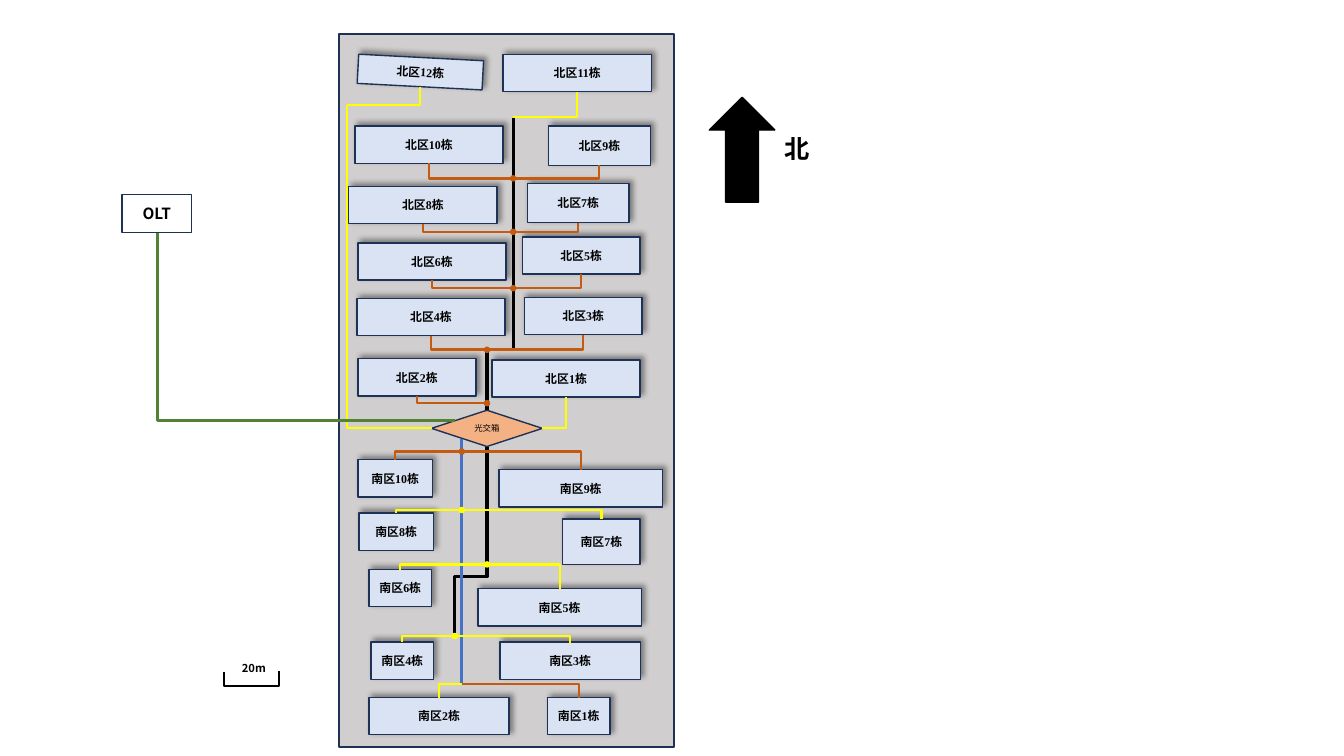
from lxml.etree import SubElement
from pptx import Presentation
from pptx.dml.color import RGBColor
from pptx.enum.shapes import MSO_CONNECTOR, MSO_SHAPE
from pptx.enum.text import MSO_ANCHOR, MSO_AUTO_SIZE, PP_ALIGN
from pptx.oxml.ns import qn
from pptx.util import Inches, Pt


class Theme:
    site, building, cabinet = "D0CECE", "DAE3F3", "F4B183"
    outline, black = "1E3256", "000000"
    yellow, orange, blue, green = "FFFF00", "C55A11", "4472C4", "548235"
    thin, medium, thick = 1, 1.5, 2.25
    building_size, cabinet_size, olt_size, north_size, scale_size = 8.5, 6, 11, 18, 8
    chinese, latin = "Noto Sans CJK SC", "Times New Roman"


presentation = Presentation()
presentation.slide_width, presentation.slide_height = Inches(13.33), Inches(7.5)
slide = presentation.slides.add_slide(presentation.slide_layouts[6])


def add_block(kind, box, fill=None, outline=Theme.outline, width=Theme.thin,
              runs=(), size=Theme.building_size, bold=True):
    """Draw a preset shape, or a text box when kind is None; runs are (text, font)."""
    place = [Inches(value) for value in box]
    if kind is None:
        shape = slide.shapes.add_textbox(*place)
        shape.text_frame.auto_size = MSO_AUTO_SIZE.SHAPE_TO_FIT_TEXT
    else:
        shape = slide.shapes.add_shape(kind, *place)
        shape.shadow.inherit = False
        shape.line.color.rgb = RGBColor.from_string(outline)
        shape.line.width = Pt(width)
        if fill:
            shape.fill.solid()
            shape.fill.fore_color.rgb = RGBColor.from_string(fill)
        else:
            shape.fill.background()
        shape.text_frame.vertical_anchor = MSO_ANCHOR.MIDDLE
    shape.text_frame.word_wrap = kind is not None
    paragraph = shape.text_frame.paragraphs[0]
    paragraph.alignment = PP_ALIGN.LEFT if kind is None else PP_ALIGN.CENTER
    for text, font_name in runs:
        run = paragraph.add_run()
        run.text = text
        run.font.size, run.font.bold = Pt(size), bold
        run.font.color.rgb = RGBColor.from_string(Theme.black)
        run.font.name = font_name
        SubElement(run.font._element, qn("a:ea"), typeface=font_name)
    return shape


def add_cable(start, end, color, width=Theme.medium, corner=False, level=None):
    """Straight line; corner runs across then up or down; level is the height of a crossbar."""
    (x1, y1), (x2, y2) = start, end
    kind = MSO_CONNECTOR.ELBOW if corner or level is not None else MSO_CONNECTOR.STRAIGHT
    if level is not None:
        # A crossbar is a sideways elbow turned by a quarter about its centre
        across, down = x2 - x1, (y2 - y1) or 0.01
        turn = 1 if across * down < 0 else -1
        center_x, center_y = (x1 + x2) / 2, y1 + down / 2
        half_x, half_y = turn * down / 2, -turn * across / 2
        ends = (center_x - half_x, center_y - half_y, center_x + half_x, center_y + half_y)
    else:
        ends = (x1, y1, x2, y2)
    connector = slide.shapes.add_connector(kind, *[Inches(value) for value in ends])
    connector.line.color.rgb = RGBColor.from_string(color)
    connector.line.width = Pt(width)
    properties = connector._element.spPr
    SubElement(properties, qn("a:effectLst"))
    geometry = properties.find(qn("a:prstGeom"))
    if corner:
        geometry.set("prst", "bentConnector2")
    if level is not None:
        properties.find(qn("a:xfrm")).set("rot", "5400000" if turn == 1 else "16200000")
        guides = geometry.find(qn("a:avLst"))
        ratio = round((level - y1) / down * 100000)
        SubElement(guides, qn("a:gd"), name="adj1", fmla=f"val {ratio}")
    return connector


# Site area
add_block(MSO_SHAPE.RECTANGLE, (3.36, 0.34, 3.33, 7.07), Theme.site, width=Theme.medium)

# Buildings: left, top, width, height
buildings = {
    ("南区", 3): (4.96, 6.37, 1.39, 0.37), ("南区", 1): (5.43, 6.92, 0.62, 0.37),
    ("南区", 2): (3.66, 6.92, 1.39, 0.37), ("南区", 4): (3.68, 6.37, 0.62, 0.37),
    ("南区", 5): (4.74, 5.84, 1.62, 0.37), ("南区", 6): (3.66, 5.65, 0.62, 0.37),
    ("南区", 8): (3.56, 5.09, 0.74, 0.37), ("南区", 7): (5.58, 5.15, 0.77, 0.45),
    ("南区", 9): (4.95, 4.66, 1.62, 0.37), ("南区", 10): (3.55, 4.56, 0.74, 0.37),
    ("北区", 1): (4.88, 3.57, 1.47, 0.37), ("北区", 2): (3.55, 3.56, 1.17, 0.37),
    ("北区", 4): (3.54, 2.96, 1.47, 0.37), ("北区", 3): (5.2, 2.95, 1.17, 0.37),
    ("北区", 6): (3.55, 2.41, 1.47, 0.37), ("北区", 5): (5.18, 2.35, 1.17, 0.37),
    ("北区", 8): (3.46, 1.85, 1.47, 0.37), ("北区", 7): (5.23, 1.82, 1.01, 0.39),
    ("北区", 12): (3.55, 0.57, 1.24, 0.29), ("北区", 11): (4.99, 0.54, 1.47, 0.37),
    ("北区", 10): (3.52, 1.25, 1.47, 0.37), ("北区", 9): (5.44, 1.25, 1.01, 0.39),
}
doors = {}  # cable entry: bottom centre in the north, top centre in the south
for (zone, number), box in buildings.items():
    runs = [(zone, Theme.chinese), (str(number), Theme.latin), ("栋", Theme.chinese)]
    shape = add_block(MSO_SHAPE.RECTANGLE, box, Theme.building, runs=runs)
    if (zone, number) == ("北区", 12):
        shape.rotation = 3
    shadow = SubElement(shape._element.spPr.find(qn("a:effectLst")), qn("a:outerShdw"),
                        blurRad=str(Pt(4)), dist=str(Pt(3)), dir=str(315 * 60000),
                        algn="bl", rotWithShape="0")
    shadow_color = SubElement(shadow, qn("a:srgbClr"), val=Theme.black)
    SubElement(shadow_color, qn("a:alpha"), val="40000")
    left, top, width, height = box
    doors[zone, number] = (left + width / 2, top + (height if zone == "北区" else 0))

# North arrow
arrow = add_block(MSO_SHAPE.RIGHT_ARROW, (6.84, 1.16, 1.04, 0.65), Theme.black, Theme.black)
arrow.rotation = 270
add_block(None, (7.68, 1.27, 0.44, 0.4), runs=[("北", Theme.chinese)], size=Theme.north_size)

# Cross-connect cabinet
cabinet = add_block(MSO_SHAPE.FLOWCHART_DECISION, (4.28, 4.07, 1.1, 0.36), Theme.cabinet,
                    runs=[("光交箱", Theme.chinese)], size=Theme.cabinet_size, bold=False)

# Trunk cables
trunk_x, north_x, west_x, blue_x = 4.83, 5.09, 3.44, 4.58
north_stops = [3.46, 2.86, 2.3, 1.76, 1.17]
for lower, upper in zip(north_stops, north_stops[1:]):
    add_cable((north_x, lower), (north_x, upper), Theme.black, Theme.thick)
add_cable((trunk_x, 4.07), (trunk_x, 3.46), Theme.black, Theme.thick).begin_connect(cabinet, 0)
add_cable((trunk_x, 4.43), (trunk_x, 5.59), Theme.black, Theme.thick).begin_connect(cabinet, 2)
add_cable((trunk_x, 5.59), (4.51, 6.31), Theme.black, Theme.thick, level=5.72)
add_cable((blue_x, 4.36), (blue_x, 6.79), Theme.blue, Theme.thick)
add_cable((west_x, 1.04), (west_x, 4.25), Theme.yellow)
add_cable((4.28, 4.25), (west_x, 4.25), Theme.yellow).begin_connect(cabinet, 1)

# Crossbars between the two buildings of a row
for zone, left_number, level, color in [
    ("北区", 10, 1.77, Theme.orange), ("北区", 8, 2.3, Theme.orange),
    ("北区", 6, 2.86, Theme.orange), ("北区", 4, 3.47, Theme.orange),
    ("南区", 10, 4.48, Theme.orange), ("南区", 8, 5.06, Theme.yellow),
    ("南区", 6, 5.6, Theme.yellow), ("南区", 4, 6.31, Theme.yellow),
]:
    add_cable(doors[zone, left_number], doors[zone, left_number - 1], color, level=level)

# Branches to single buildings
for start, door, color in [
    ((5.38, 4.25), ("北区", 1), Theme.yellow), ((trunk_x, 4), ("北区", 2), Theme.orange),
    ((north_x, 1.16), ("北区", 11), Theme.yellow), ((west_x, 1.04), ("北区", 12), Theme.yellow),
    ((blue_x, 6.79), ("南区", 1), Theme.orange), ((blue_x, 6.79), ("南区", 2), Theme.yellow),
]:
    add_cable(start, doors[door], color, corner=True)

# Splice points
dot = 0.05
for center_x, center_y, color in [
    (blue_x, 5.06, Theme.yellow), (trunk_x, 5.6, Theme.yellow), (4.51, 6.31, Theme.yellow),
    (blue_x, 4.48, Theme.orange), (trunk_x, 3.47, Theme.orange), (trunk_x, 4, Theme.orange),
    (north_x, 2.86, Theme.orange), (north_x, 2.3, Theme.orange), (north_x, 1.77, Theme.orange),
]:
    add_block(MSO_SHAPE.OVAL, (center_x - dot / 2, center_y - dot / 2, dot, dot), color, color)

# Line terminal and its feeder
add_block(MSO_SHAPE.RECTANGLE, (1.21, 1.93, 0.69, 0.38), runs=[("OLT", Theme.chinese)],
          size=Theme.olt_size)
add_cable((4.51, 4.17), (1.56, 2.31), Theme.green, Theme.thick, corner=True)

# Scale bar
add_cable((2.22, 6.67), (2.77, 6.66), Theme.black, level=6.81)
add_block(None, (2.3, 6.51, 0.45, 0.24), runs=[("20m", Theme.chinese)], size=Theme.scale_size)

presentation.save("out.pptx")
